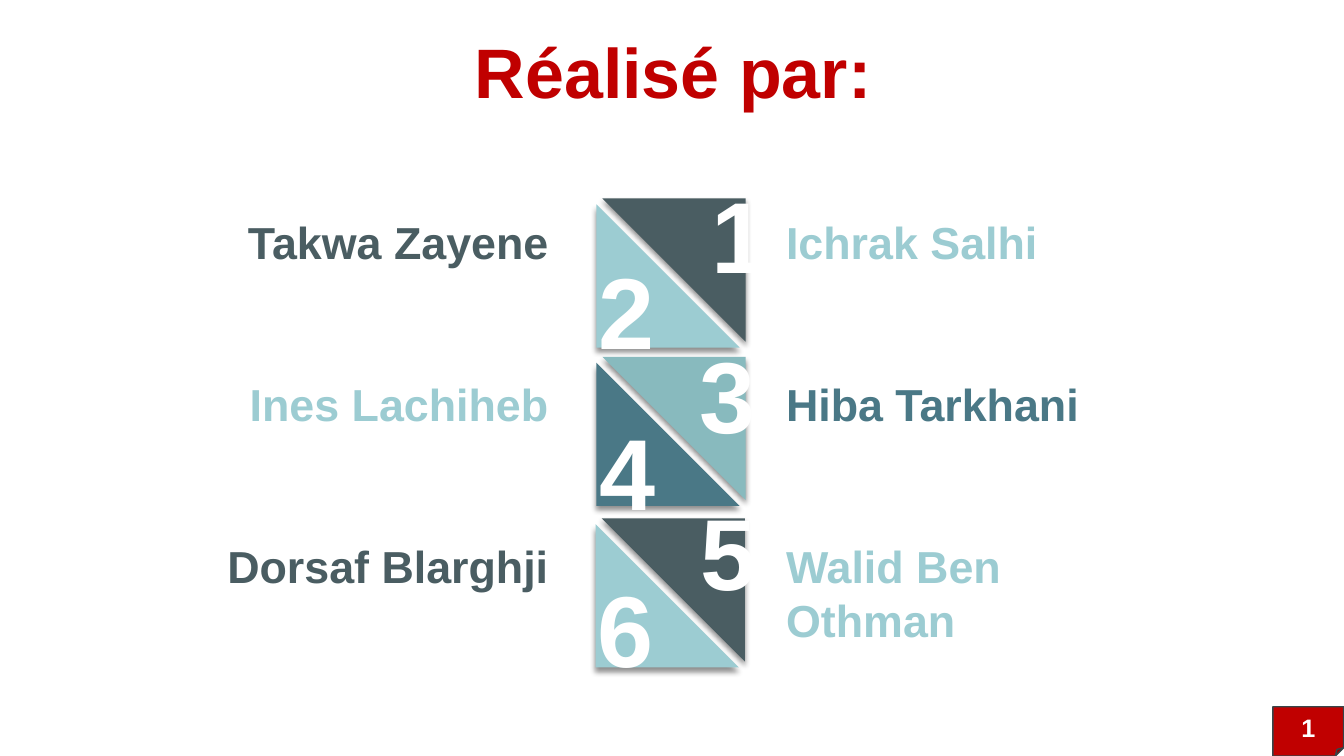
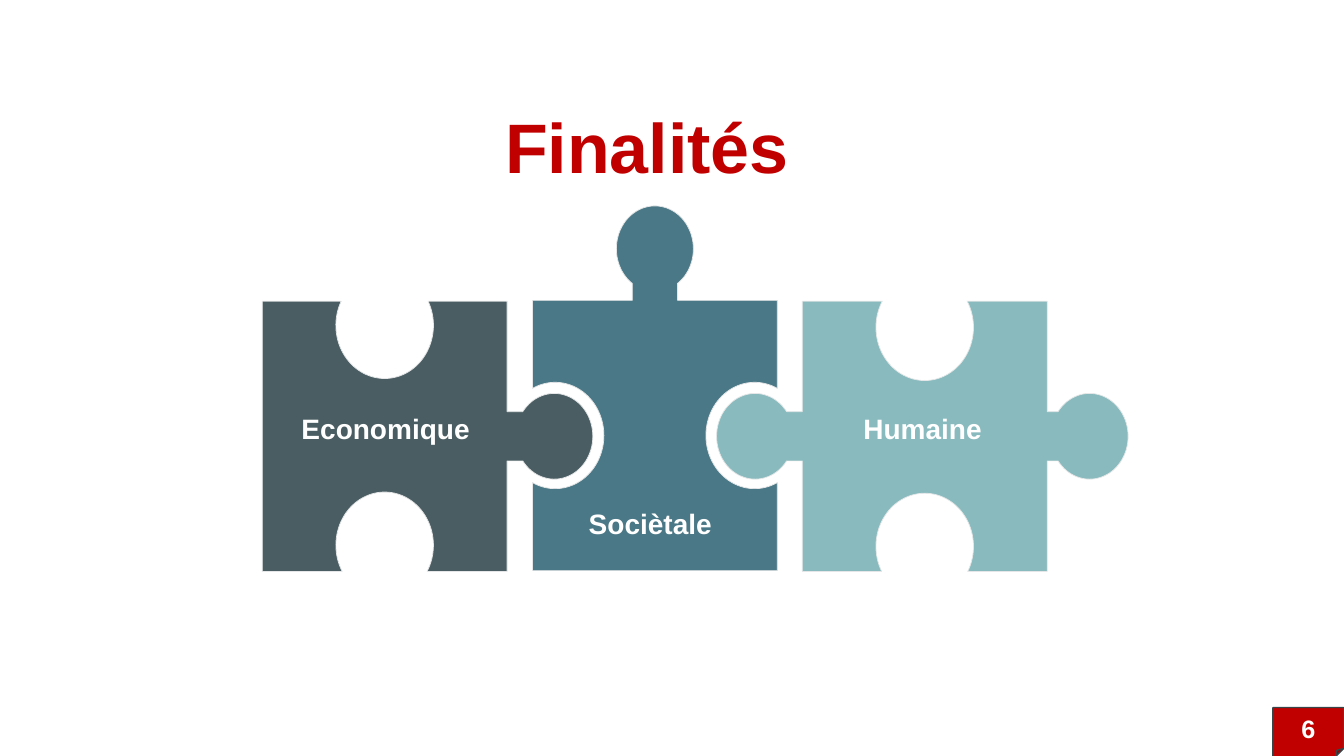
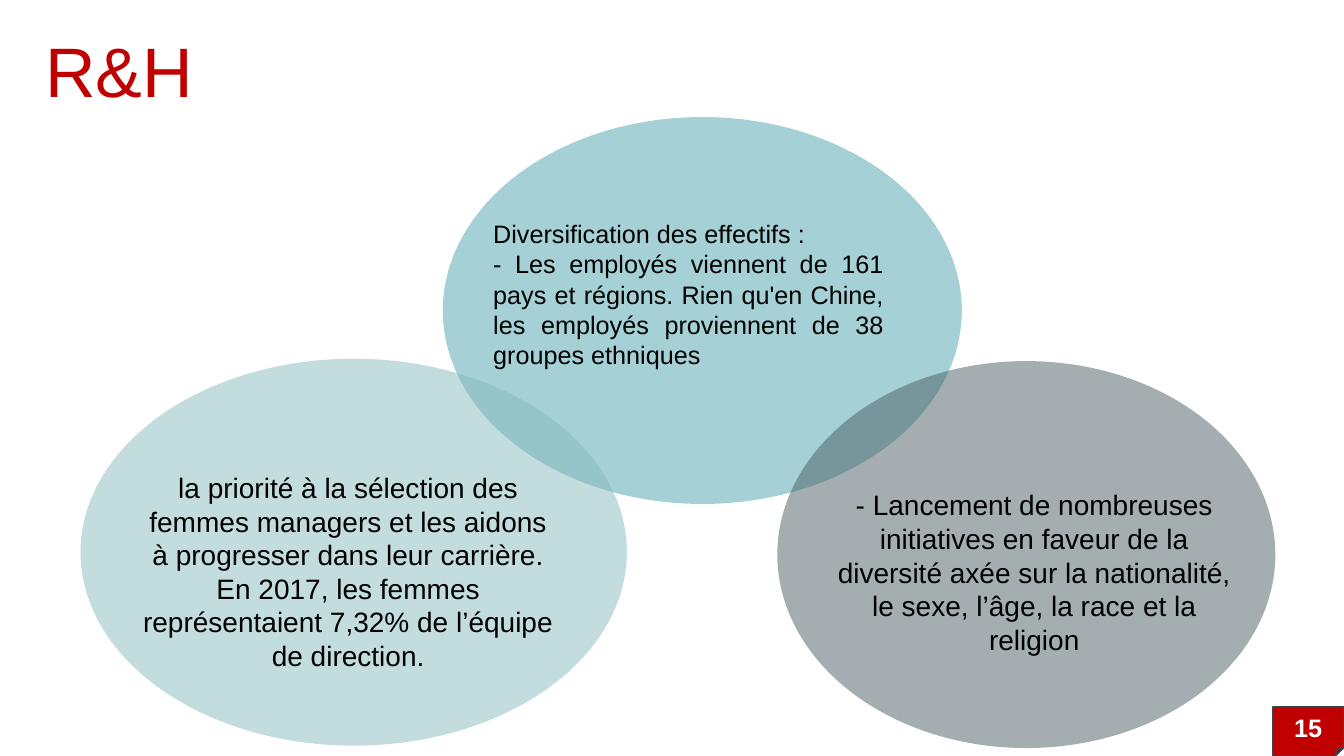
"""Builds three slides: team members, goals as a puzzle, and staff diversity."""
from math import acos, asin, cos, pi, sin, tan

from lxml import etree
from pptx import Presentation
from pptx.dml.color import RGBColor
from pptx.enum.shapes import MSO_SHAPE
from pptx.enum.text import MSO_ANCHOR, MSO_AUTO_SIZE, PP_ALIGN
from pptx.oxml.ns import qn
from pptx.util import Cm, Pt

LEFT, CENTER, RIGHT, JUSTIFY = PP_ALIGN.LEFT, PP_ALIGN.CENTER, PP_ALIGN.RIGHT, PP_ALIGN.JUSTIFY
TOP, MIDDLE = MSO_ANCHOR.TOP, MSO_ANCHOR.MIDDLE
TRIANGLE, ELLIPSE, FOLDED = MSO_SHAPE.RIGHT_TRIANGLE, MSO_SHAPE.OVAL, MSO_SHAPE.FOLDED_CORNER
NO_FIT, GROW = MSO_AUTO_SIZE.NONE, MSO_AUTO_SIZE.SHAPE_TO_FIT_TEXT

FONT = "Arial"
RED, WHITE, BLACK = "C00000", "FFFFFF", "000000"
SLATE, TEAL, SEA, SKY = "4A5D62", "4A7886", "88BABE", "9CCCD2"
BADGE_LINE, PIECE_LINE = "374549", "E4E6E7"
ARC_PARTS = 4


def rgb(value):
    """Return the colour for a hex string."""
    return RGBColor.from_string(value)


def write(tf, text, size=20, color=BLACK, bold=False, align=LEFT, anchor=TOP,
          spacing=None, fit=NO_FIT):
    """Fill a text frame, one paragraph a line."""
    tf.word_wrap = True
    tf.auto_size = fit
    tf.vertical_anchor = anchor
    for i, line in enumerate(text.split("\n")):
        p = tf.add_paragraph() if i else tf.paragraphs[0]
        p.alignment = align
        p.space_before = Pt(0)
        if spacing:
            p.line_spacing = spacing
        r = p.add_run()
        r.text = line
        r.font.name, r.font.size, r.font.bold = FONT, Pt(size), bold
        r.font.color.rgb = rgb(color)


def add_text(slide, box, text, margin=0.25, **fmt):
    """Add a text box at a box given in centimetres."""
    tf = slide.shapes.add_textbox(*map(Cm, box)).text_frame
    tf.margin_left = tf.margin_right = Cm(margin)
    write(tf, text, fit=GROW, **fmt)


def paint(sp, fill, line=None, width=1):
    """Set the fill and outline of a shape and drop its shadow."""
    sp.shadow.inherit = False
    sp.fill.solid()
    sp.fill.fore_color.rgb = rgb(fill)
    if line:
        sp.line.color.rgb = rgb(line)
        sp.line.width = Pt(width)
    else:
        sp.line.fill.background()


def add_shape(slide, kind, box, fill, **outline):
    """Add a painted preset shape."""
    sp = slide.shapes.add_shape(kind, *map(Cm, box))
    paint(sp, fill, **outline)
    return sp


def set_alpha(color, percent):
    """Give a colour element an opacity."""
    etree.SubElement(color, qn("a:alpha")).set("val", str(percent * 1000))


def add_shadow(sp):
    """Give a shape a soft shadow below it."""
    effects = sp._element.spPr.find(qn("a:effectLst"))
    shadow = etree.SubElement(effects, qn("a:outerShdw"), blurRad=str(Pt(4)),
                              dist=str(Pt(3)), dir="5400000", rotWithShape="0")
    set_alpha(etree.SubElement(shadow, qn("a:srgbClr"), val=BLACK), 43)


def new_slide(prs, title, x=0.89, y=0.94, height=2.01, bold=True, align=CENTER):
    """Add a slide with its title."""
    slide = prs.slides.add_slide(prs.slide_layouts[5])
    sp = slide.shapes.title
    sp.left, sp.top, sp.width, sp.height = map(Cm, (x, y, 32.16, height))
    write(sp.text_frame, title, size=50, color=RED, bold=bold, align=align,
          anchor=MIDDLE, spacing=0.8)
    return slide


def add_badge(slide, number, y=17.81):
    """Put the page number in the bottom right corner."""
    sp = add_shape(slide, FOLDED, (32.08, y, 1.78, 1.24), RED, line=BADGE_LINE)
    write(sp.text_frame, str(number), size=18, color=WHITE, bold=True,
          align=CENTER, anchor=MIDDLE)


def add_tile(slide, x, y, upper, lower):
    """Draw a square of two triangles."""
    side, gap = 3.61, 0.15
    add_shadow(add_shape(slide, TRIANGLE, (x, y + gap, side, side), lower))
    sp = add_shape(slide, TRIANGLE, (x + gap, y, side, side), upper)
    sp.rotation = 180
    add_shadow(sp)


def team_slide(prs):
    """Build the slide of team members."""
    slide = new_slide(prs, "Réalisé par:", height=2.08)
    tiles = [(15.03, 5.0, SLATE, SKY), (15.03, 8.99, SEA, TEAL), (15.01, 13.06, SLATE, SKY)]
    for tile in tiles:
        add_tile(slide, *tile)
    digits = [(17.63, 4.24), (14.78, 6.15), (17.32, 8.25),
              (14.81, 10.19), (17.35, 12.22), (14.76, 14.15)]
    for i, (x, y) in enumerate(digits):
        add_text(slide, (x, y, 1.7, 3.33), str(i + 1), margin=0.3, size=72,
                 color=WHITE, bold=True, align=CENTER)
    names = [
        ("Takwa Zayene", SLATE, "Ichrak Salhi", SKY, 1.63),
        ("Ines Lachiheb", SKY, "Hiba Tarkhani", TEAL, 1.63),
        ("Dorsaf Blarghji", SLATE, "Walid Ben Othman", SKY, 3.0),
    ]
    for i, (left, left_color, right, right_color, height) in enumerate(names):
        y = 5.28 + 4.09 * i
        add_text(slide, (3.89, y, 10.19, 1.63), left, size=32, color=left_color,
                 bold=True, align=RIGHT)
        add_text(slide, (19.56, y, 10.26, height), right, size=32,
                 color=right_color, bold=True)
    add_badge(slide, 1)


def side_nodes(x, y, dx, dy, length, offset):
    """Outline one side as (point, controls); offset above 0 is a knob, below 0 a bite."""
    nodes = [((x, y), [])]
    if not offset:
        return nodes
    rx, ry = (0.97, 1.08) if offset > 0 else (1.23, 1.34)
    along, across = (rx, ry) if dx else (ry, rx)
    neck = 0.57 if dx else 0.62

    def place(u, v):
        return (x + dx * (length / 2 + u) + dy * v, y + dy * (length / 2 + u) - dx * v)

    def arc(t, pull=0):
        return place(along * (sin(t) + pull * cos(t)),
                     offset + across * (cos(t) - pull * sin(t)))

    start = pi - asin(neck / along) if offset > 0 else acos(-offset / across)
    step = (2 * start if offset > 0 else 2 * start - 2 * pi) / ARC_PARTS
    pull = 4 / 3 * tan(step / 4)
    if offset > 0:
        nodes.append((place(-neck, 0), []))
    nodes.append((arc(-start), []))
    for k in range(ARC_PARTS):
        t = -start + step * k
        nodes.append((arc(t + step), [arc(t, pull), arc(t + step, -pull)]))
    if offset > 0:
        nodes.append((place(neck, 0), []))
    return nodes


def add_piece(slide, box, color, sides):
    """Draw a puzzle piece; sides run top, right, bottom, left."""
    x, y, w, h = box
    corners = [(x, y, 1, 0, w), (x + w, y, 0, 1, h),
               (x + w, y + h, -1, 0, w), (x, y + h, 0, -1, h)]
    nodes = [node for corner, offset in zip(corners, sides)
             for node in side_nodes(*corner, offset)]
    points = [(Cm(px), Cm(py)) for (px, py), _ in nodes]
    builder = slide.shapes.build_freeform(*points[0])
    builder.add_line_segments(points[1:], close=True)
    sp = builder.convert_to_shape()
    paint(sp, color, line=PIECE_LINE, width=0.5)
    lines = list(sp._element.iter(qn("a:lnTo")))
    for line, (_, controls) in zip(lines, nodes[1:]):
        for i, (px, py) in enumerate(controls):
            line.tag = qn("a:cubicBezTo")
            line.insert(i, etree.Element(qn("a:pt"), x=str(Cm(px) - sp.left),
                                         y=str(Cm(py) - sp.top)))


def goals_slide(prs):
    """Build the puzzle slide of goals."""
    slide = new_slide(prs, "Finalités", x=0.23, y=2.87)
    pieces = [
        (20.22, 7.59, SEA, (-0.66, 1.07, -0.63, 1.19)),
        (6.61, 7.59, SLATE, (-0.61, 1.19, -0.66, 0)),
        (13.42, 7.57, TEAL, (1.3, -0.57, 0, -0.57)),
    ]
    for x, y, color, sides in pieces:
        add_piece(slide, (x, y, 6.17, 6.81), color, sides)
    for label, x, y in [("Economique", 6.81, 10.25), ("Sociètale", 13.48, 12.65),
                        ("Humaine", 20.34, 10.25)]:
        add_text(slide, (x, y, 5.82, 1.11), label, color=WHITE, bold=True, align=CENTER)
    add_badge(slide, 6, y=17.83)


def add_bubble(slide, box, color, alpha):
    """Draw a see-through ellipse."""
    sp = add_shape(slide, ELLIPSE, box, color)
    set_alpha(sp._element.spPr.find(qn("a:solidFill"))[0], alpha)


def diversity_slide(prs):
    """Build the slide of three overlapping bubbles."""
    slide = new_slide(prs, "R&H", bold=False, align=LEFT)
    add_bubble(slide, (11.16, 2.95, 13.08, 9.75), SKY, 90)
    add_bubble(slide, (19.59, 9.1, 12.55, 9.75), SLATE, 50)
    add_bubble(slide, (2.03, 9.04, 13.77, 9.75), SEA, 50)
    add_text(slide, (3.25, 11.73, 11.05, 6.25),
             "la priorité à la sélection des femmes managers et les aidons à progresser "
             "dans leur carrière. En 2017, les femmes représentaient 7,32% de l’équipe "
             "de direction.", align=CENTER)
    add_text(slide, (20.54, 12.17, 11.05, 5.38),
             "- Lancement de nombreuses initiatives en faveur de la diversité axée "
             "sur la nationalité, le sexe, l’âge, la race et la religion", align=CENTER)
    add_text(slide, (12.18, 5.38, 10.34, 4.11),
             "Diversification des effectifs :\n"
             "- Les employés viennent de 161 pays et régions. Rien qu'en Chine, "
             "les employés proviennent de 38 groupes ethniques", size=18, align=JUSTIFY)
    add_badge(slide, 15)


def main():
    """Build and save the presentation."""
    prs = Presentation()
    prs.slide_width, prs.slide_height = Cm(33.87), Cm(19.05)
    team_slide(prs)
    goals_slide(prs)
    diversity_slide(prs)
    prs.save("out.pptx")


if __name__ == "__main__":
    main()
